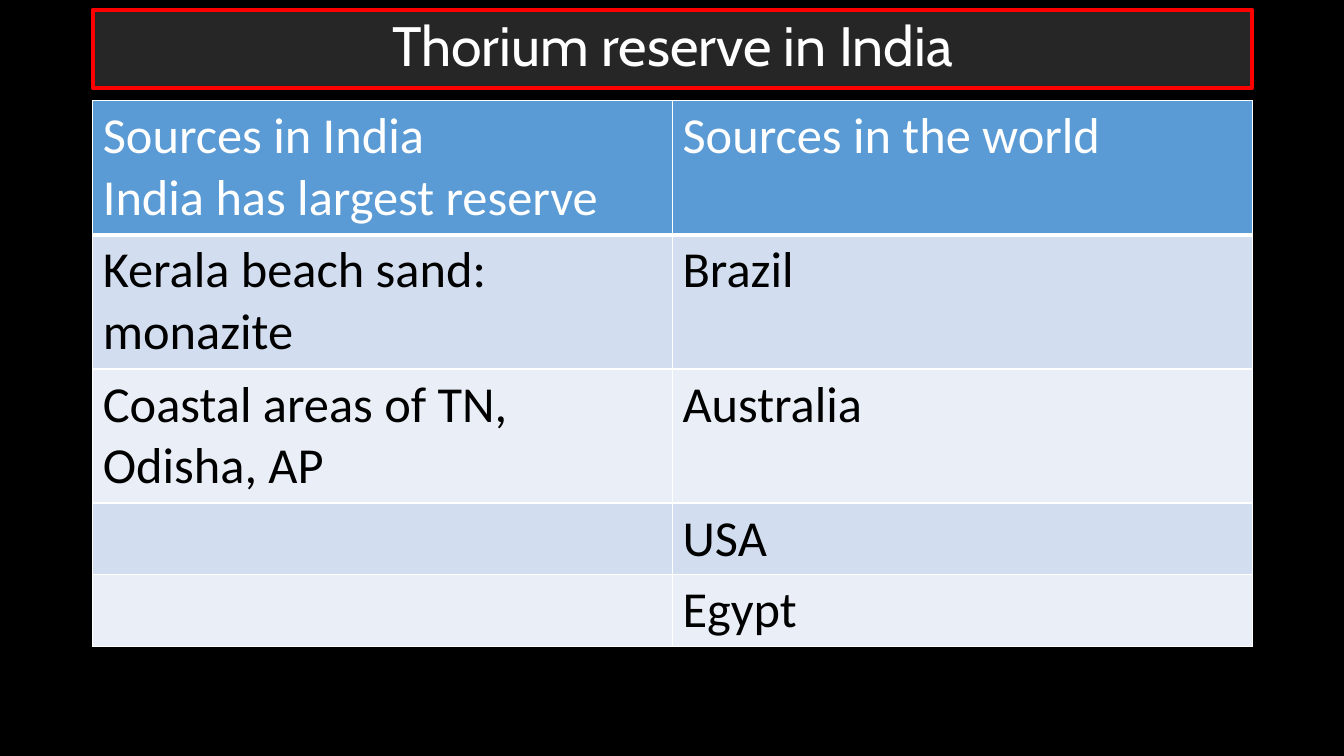
from lxml import etree
from pptx import Presentation
from pptx.dml.color import RGBColor
from pptx.enum import shapes, text
from pptx.oxml import ns
from pptx.util import Inches, Pt

COLORS = {
    "background": "000000",
    "title": "262626",
    "frame": "FF0000",
    "light": "FFFFFF",
    "dark": "000000",
    "header": "5B9BD5",
    "odd": "D2DEEF",
    "even": "EAEFF7",
}
LEFT, WIDTH = 0.92, 11.5


def rgb(name):
    return RGBColor.from_string(COLORS[name])


def add_border(cell, side, points):
    """Draw one white edge of a cell; side is L, R, T or B."""
    edge = etree.SubElement(cell._tc.get_or_add_tcPr(), ns.qn(f"a:ln{side}"), w=str(Pt(points)))
    fill = etree.SubElement(edge, ns.qn("a:solidFill"))
    etree.SubElement(fill, ns.qn("a:srgbClr"), val=COLORS["light"])


prs = Presentation()
prs.slide_width, prs.slide_height = Inches(13.33), Inches(7.5)
slide = prs.slides.add_slide(prs.slide_layouts[6])
slide.background.fill.solid()
slide.background.fill.fore_color.rgb = rgb("background")

# Sources table
sources = [
    ("Sources in India\nIndia has largest reserve", "Sources in the world"),
    ("Kerala beach sand: monazite", "Brazil"),
    ("Coastal areas of TN, Odisha, AP", "Australia"),
    ("", "USA"),
    ("", "Egypt"),
]
row_heights = [1.33, 1.33, 1.33, 0.71, 0.71]
table = slide.shapes.add_table(
    len(sources), 2, Inches(LEFT), Inches(1), Inches(WIDTH), Inches(sum(row_heights))
).table
for column in table.columns:
    column.width = Inches(WIDTH / 2)

for r, (row, height) in enumerate(zip(sources, row_heights)):
    table.rows[r].height = Inches(height)
    band = "header" if r == 0 else "odd" if r % 2 else "even"
    for c, wording in enumerate(row):
        cell = table.cell(r, c)
        for side in "LRTB":
            add_border(cell, side, 3 if r == 0 and side == "B" else 1)
        cell.fill.solid()
        cell.fill.fore_color.rgb = rgb(band)
        cell.text_frame.text = wording
        for paragraph in cell.text_frame.paragraphs:
            paragraph.font.size = Pt(36)
            for run in paragraph.runs:
                run.font.name = "Calibri"
                run.font.size = Pt(36)
                run.font.bold = False
                run.font.color.rgb = rgb("light" if r == 0 else "dark")

# Title bar
title = slide.shapes.add_shape(
    shapes.MSO_SHAPE.ROUNDED_RECTANGLE, Inches(LEFT), Inches(0.1), Inches(WIDTH), Inches(0.77)
)
title.adjustments[0] = 0
title.shadow.inherit = False
title.fill.solid()
title.fill.fore_color.rgb = rgb("title")
title.line.color.rgb = rgb("frame")
title.line.width = Pt(3)
title.text_frame.word_wrap = True
title.text_frame.vertical_anchor = text.MSO_ANCHOR.MIDDLE
title.text_frame.text = "Thorium reserve in India"
heading = title.text_frame.paragraphs[0]
heading.alignment = text.PP_ALIGN.CENTER
heading.line_spacing = 0.9
heading_font = heading.runs[0].font
heading_font.name = "Cabin"
heading_font.size = Pt(39.6)
heading_font.color.rgb = rgb("light")

prs.save("out.pptx")
